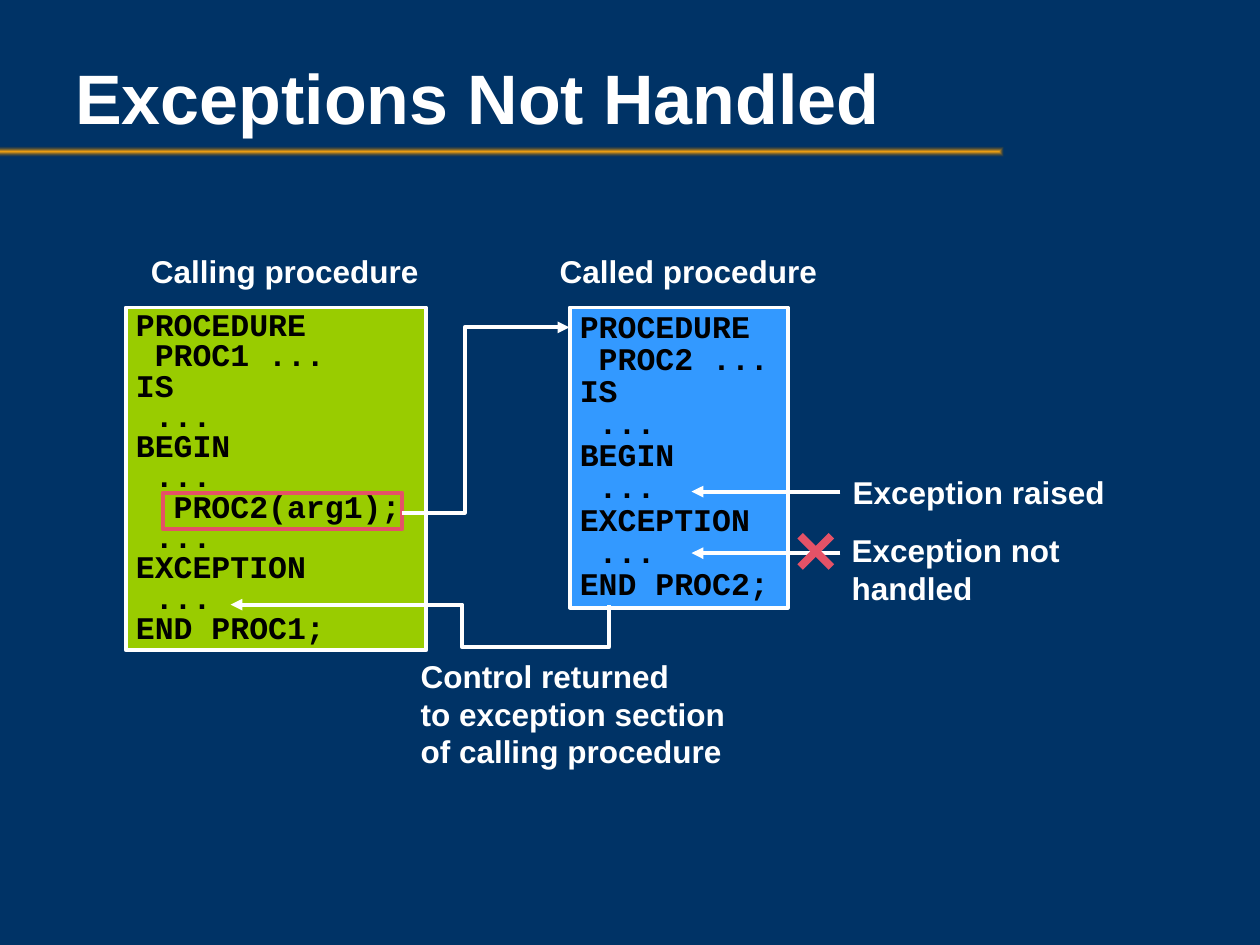
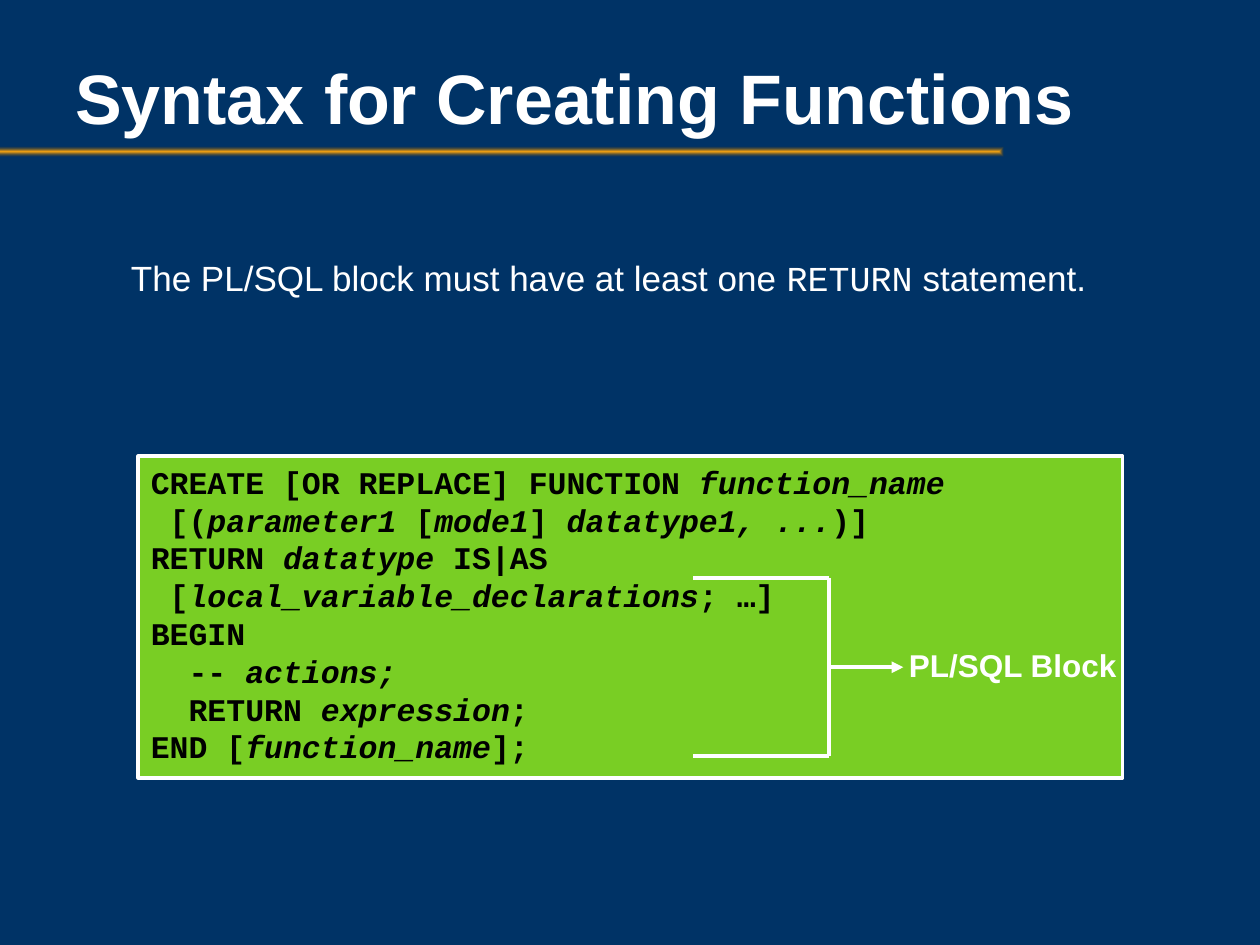
"""Build two slides on PL/SQL exceptions and function syntax."""
from lxml import etree
from pptx import Presentation
from pptx.dml.color import RGBColor
from pptx.enum import shapes, text
from pptx.oxml.ns import qn
from pptx.util import Cm, Pt

THEME = {
    "back": "003366", "white": "FFFFFF", "black": "000000", "accent": "E45267",
    "calling": "99CC00", "called": "3399FF", "syntax": "79CE24",
    "gold": "FAA712", "bronze": "744D08",
    "sans": "Arial", "mono": "Courier New",
    "title": 40, "body": 20, "label": 18, "rule": 2.25, "cross": 4.5,
}
LABEL = {"name": THEME["sans"], "size": Pt(THEME["label"]), "bold": True, "color": "white"}
CODE = {**LABEL, "name": THEME["mono"], "color": "black"}
TITLE = {**LABEL, "size": Pt(THEME["title"])}
BODY = {**LABEL, "size": Pt(THEME["body"]), "bold": False}
WIDE, TIGHT = (0.25, 0.13), (0.2, 0.1)
LEFT, RIGHT = text.PP_ALIGN.LEFT, text.PP_ALIGN.RIGHT


def write(s, at, paras, font, fill=None, marked=None, inset=WIDE, align=LEFT,
          spacing=None, anchor=text.MSO_ANCHOR.TOP, wrap=True):
    """Add a text block; stars switch the marked format on and off."""
    at = [Cm(v) for v in at]
    if fill:
        sp = s.shapes.add_shape(shapes.MSO_SHAPE.RECTANGLE, *at)
        sp.shadow.inherit = False
        sp.fill.solid()
        sp.fill.fore_color.rgb = RGBColor.from_string(THEME[fill])
        sp.line.color.rgb = RGBColor.from_string(THEME["white"])
        sp.line.width = Pt(THEME["rule"])
    else:
        sp = s.shapes.add_textbox(*at)
    tf = sp.text_frame
    x, y = (Cm(v) for v in inset)
    frame = {"margin_left": x, "margin_right": x, "margin_top": y, "margin_bottom": y,
             "word_wrap": wrap, "vertical_anchor": anchor}
    for key, value in frame.items():
        setattr(tf, key, value)
    for i, para in enumerate(paras):
        p = tf.paragraphs[0] if i == 0 else tf.add_paragraph()
        p.alignment, p.line_spacing = align, spacing
        for j, part in enumerate(para.split("*")):
            look = {**font, **(marked or {})} if j % 2 else dict(font)
            color = RGBColor.from_string(THEME[look.pop("color")])
            for k, line in enumerate(part.split("\v")):
                if k:
                    p.add_line_break()
                if line:
                    r = p.add_run()
                    r.text = line
                    for key, value in look.items():
                        setattr(r.font, key, value)
                    r.font.color.rgb = color


def link(s, points, color="white", width=THEME["rule"], arrow=False):
    """Draw a straight or bent line through the points."""
    pts = [(Cm(x), Cm(y)) for x, y in points]
    if len(pts) == 2:
        sp = s.shapes.add_connector(shapes.MSO_CONNECTOR.STRAIGHT, *pts[0], *pts[1])
    else:
        fb = s.shapes.build_freeform(*pts[0])
        fb.add_line_segments(pts[1:], close=False)
        sp = fb.convert_to_shape()
        sp.fill.background()
    sp.line.color.rgb = RGBColor.from_string(THEME[color])
    sp.line.width = Pt(width)
    if arrow:
        etree.SubElement(sp.line._get_or_add_ln(), qn("a:tailEnd"), type="triangle")
    etree.SubElement(sp._element.spPr, qn("a:effectLst"))


prs = Presentation()
prs.slide_width, prs.slide_height = Cm(25.4), Cm(19.05)
slides = []
for title in ("Exceptions Not Handled", "Syntax for Creating Functions"):
    s = prs.slides.add_slide(prs.slide_layouts[6])
    s.background.fill.solid()
    s.background.fill.fore_color.rgb = RGBColor.from_string(THEME["back"])
    sp = s.shapes.add_shape(shapes.MSO_SHAPE.RECTANGLE, Cm(-0.08), Cm(2.95), Cm(20.32), Cm(0.2))
    sp.shadow.inherit = False
    sp.line.fill.background()
    sp.fill.gradient()
    grad = sp._element.spPr.find(qn("a:gradFill"))
    for child in list(grad):
        grad.remove(child)
    stops = etree.SubElement(grad, qn("a:gsLst"))
    for pos, color, alpha in (("0", "gold", "100000"), ("100000", "bronze", "0")):
        stop = etree.SubElement(stops, qn("a:gs"), pos=pos)
        clr = etree.SubElement(stop, qn("a:srgbClr"), val=THEME[color])
        etree.SubElement(clr, qn("a:alpha"), val=alpha)
    shade = etree.SubElement(grad, qn("a:path"), path="rect")
    etree.SubElement(shade, qn("a:fillToRect"), dict.fromkeys("ltrb", "50000"))
    write(s, (1.27, 0.46, 21.8, 2.97), [title], TITLE, anchor=text.MSO_ANCHOR.MIDDLE)
    slides.append(s)

s = slides[0]
calling = ["PROCEDURE", " PROC1 ...", "IS", " ...", "BEGIN", " ...", "  PROC2(arg1);",
           " ...", "EXCEPTION", " ...", "END PROC1;"]
called = ["PROCEDURE", " PROC2 ...", "IS", " ...", "BEGIN", " ...", "EXCEPTION",
          " ...", "END PROC2;"]
write(s, (2.54, 6.2, 6.05, 6.91), calling, CODE, "calling", inset=TIGHT, spacing=0.8)
write(s, (11.49, 6.2, 4.39, 6.05), called, CODE, "called", inset=TIGHT, spacing=0.85)
for at, label in (((2.34, 5, 6.35, 0.99), "Calling procedure"),
                  ((10.8, 5, 5.92, 0.99), "Called procedure")):
    write(s, at, [label], LABEL, align=RIGHT, spacing=0.95)
for at, label in (((8.23, 13.11, 6.81, 2.54),
                   "Control returned\vto exception section of calling procedure"),
                  ((16.94, 9.4, 5.72, 1.02), "Exception raised"),
                  ((16.92, 10.57, 6.15, 1.78), "Exception not handled")):
    write(s, at, [label], LABEL)

sp = s.shapes.add_shape(shapes.MSO_SHAPE.RECTANGLE, Cm(3.28), Cm(9.93), Cm(4.83), Cm(0.74))
sp.shadow.inherit = False
sp.fill.background()
sp.line.color.rgb = RGBColor.from_string(THEME["accent"])
sp.line.width = Pt(THEME["rule"])

call_path = [(8.1, 10.34), (9.37, 10.34), (9.37, 6.6), (11.48, 6.6)]
return_path = [(12.27, 12.2), (12.27, 13.05), (9.32, 13.05), (9.32, 12.19), (4.65, 12.19)]
raised, unhandled = ([(16.94, y), (13.94, y)] for y in (9.91, 11.15))
for path in (call_path, return_path, raised, unhandled):
    link(s, path, arrow=True)
for y1, y2 in ((10.8, 11.43), (11.43, 10.8)):
    link(s, [(16.13, y1), (16.76, y2)], "accent", THEME["cross"])

s = slides[1]
syntax = [
    "CREATE [OR REPLACE] FUNCTION *function_name\v *[(*parameter1 *[*mode1*]* datatype1, ...*)]",
    "RETURN *datatype *IS|AS",
    " [*local_variable_declarations*; …]",
    "BEGIN\v  -- *actions;*",
    "  RETURN *expression*;",
    "END [*function_name*];",
]
write(s, (2.79, 9.2, 19.84, 6.48), syntax, CODE, "syntax", {"italic": True})
write(s, (2.39, 5.05, 20.47, 1.93),
      ["The PL/SQL block must have at least one *RETURN* statement."], BODY,
      marked={"name": THEME["mono"]})
top, bottom, spine = 11.66, 15.24, 16.71
link(s, [(spine, top), (spine, bottom)])
for y in (top, bottom):
    link(s, [(13.97, y), (spine, y)])
middle = (top + bottom) / 2
link(s, [(spine, middle), (18.21, middle)], arrow=True)
write(s, (18.11, 12.93, 4.6, 0.97), ["PL/SQL Block"], LABEL, inset=TIGHT, align=RIGHT)

prs.save("out.pptx")
